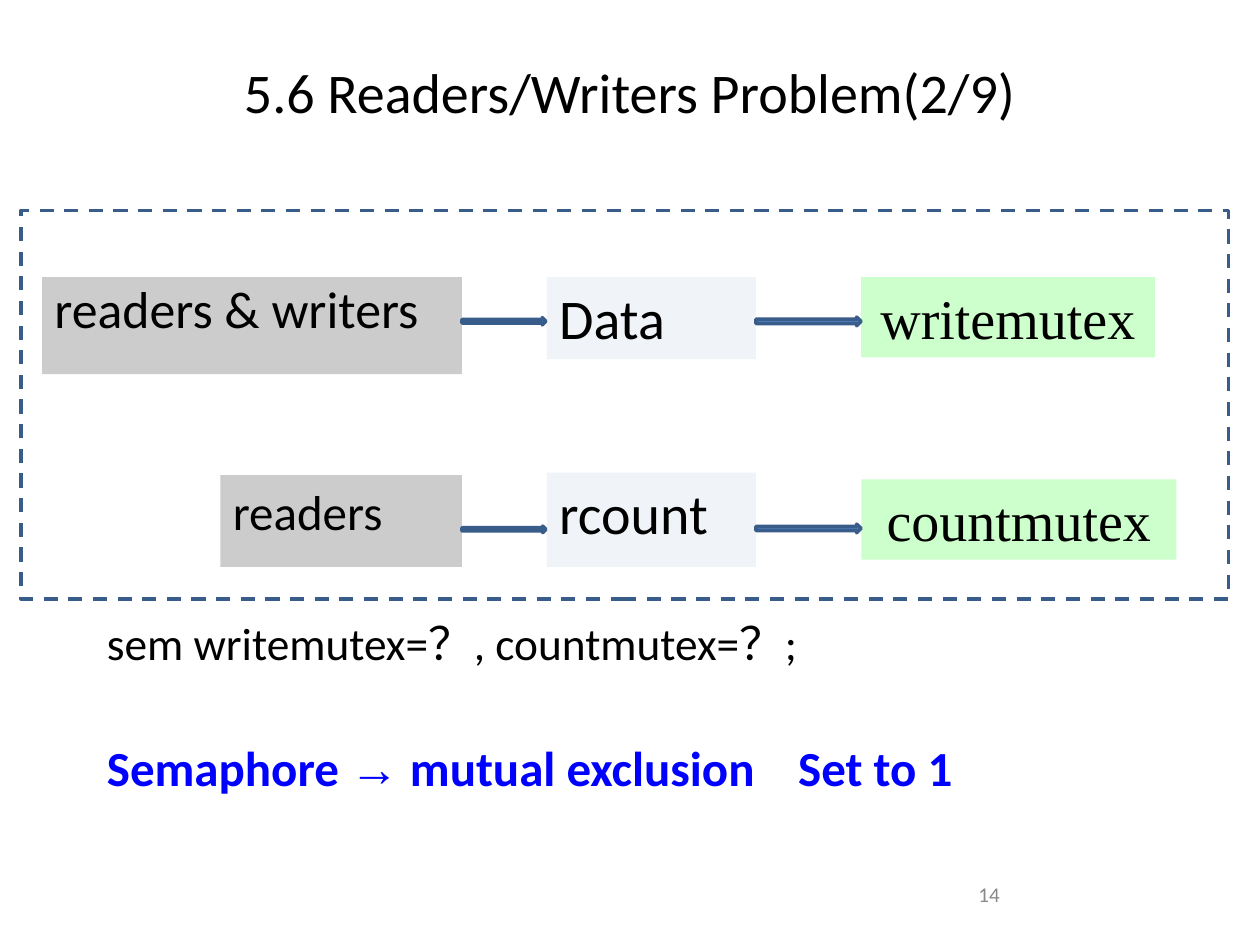
import pptx
import pptx.dml.color
import pptx.enum.dml
import pptx.enum.shapes
import pptx.enum.text
import pptx.oxml
import pptx.oxml.ns
import pptx.util

Pt = pptx.util.Pt
RGBColor = pptx.dml.color.RGBColor
SHAPE = pptx.enum.shapes.MSO_SHAPE
ALIGN = pptx.enum.text.PP_ALIGN
ANCHOR = pptx.enum.text.MSO_ANCHOR

BLACK = RGBColor(0x00, 0x00, 0x00)
WHITE = RGBColor(0xFF, 0xFF, 0xFF)
GREY = RGBColor(0xCC, 0xCC, 0xCC)
PALE_BLUE = RGBColor(0xF0, 0xF3, 0xF8)
GREEN = RGBColor(0xCC, 0xFF, 0xCC)
BLUE = RGBColor(0x00, 0x00, 0xFF)
ARROW_FILL = RGBColor(0x4F, 0x81, 0xBD)
LINE_BLUE = RGBColor(0x38, 0x5D, 0x8A)
NUMBER_GREY = RGBColor(0x89, 0x89, 0x89)

deck = pptx.Presentation()
deck.slide_width, deck.slide_height = Pt(720), Pt(540)
page = deck.slides.add_slide(deck.slide_layouts[6])


def add_shape(kind, place, fill=None, line=None):
    shape = page.shapes.add_shape(kind, *[Pt(length) for length in place])
    shape.shadow.inherit = False
    if fill is None:
        shape.fill.background()
    else:
        shape.fill.solid()
        shape.fill.fore_color.rgb = fill
    if line is None:
        shape.line.fill.background()
    else:
        shape.line.color.rgb = line
        shape.line.width = Pt(2)
    return shape


def write(box, text, size, font="Calibri", color=BLACK, align=ALIGN.LEFT,
          anchor=ANCHOR.TOP, spacing=None):
    box.text_frame.word_wrap = True
    box.text_frame.vertical_anchor = anchor
    para = box.text_frame.paragraphs[0]
    para.alignment = align
    para.line_spacing = spacing
    para.font.size = Pt(size)
    para.font.name = font
    para.font.color.rgb = color
    if text:
        para.add_run().text = text
    return para


# Title
title = page.shapes.add_textbox(Pt(0), Pt(21.6), Pt(720), Pt(61.2))
write(title, "5.6 Readers/Writers Problem(2/9)", 32,
      align=ALIGN.CENTER, anchor=ANCHOR.MIDDLE)

# Boxes: who accesses what, and the semaphore that guards it
SERIF = "Times New Roman"
boxes = [
    ("readers & writers", (24, 158.4, 240, 55.5), GREY, 29.6, "Calibri", ALIGN.LEFT, 0.9),
    ("Data", (312.5, 158.4, 119.5, 46.8), PALE_BLUE, 32, "Calibri", ALIGN.LEFT, None),
    ("writemutex", (492, 158.4, 168, 45.8), GREEN, 32, SERIF, ALIGN.CENTER, None),
    ("readers", (126, 271.5, 138, 52.5), GREY, 28, "Calibri", ALIGN.LEFT, None),
    ("rcount", (312.5, 270, 119.5, 54), PALE_BLUE, 32, "Calibri", ALIGN.LEFT, None),
    ("countmutex", (492.3, 274, 180, 45.8), GREEN, 32, SERIF, ALIGN.CENTER, None),
]
for text, place, fill, size, font, align, spacing in boxes:
    box = add_shape(SHAPE.RECTANGLE, place, fill)
    write(box, text, size, font, align=align, spacing=spacing)

# Arrows between the boxes
for place in [(264, 181.5, 48, 4.2), (264, 300.6, 48, 3.8),
              (432, 181.2, 60, 5), (432, 299.5, 60, 5)]:
    add_shape(SHAPE.RIGHT_ARROW, place, ARROW_FILL, LINE_BLUE)

# Semaphore declaration
declaration = add_shape(SHAPE.RECTANGLE, (54, 351.4, 468, 42.5), WHITE)
write(declaration, "sem writemutex=？, countmutex=？;", 25.9, spacing=0.9)

# Conclusion, with a tab stop before its last part
conclusion = add_shape(SHAPE.RECTANGLE, (54, 417.6, 637.2, 42.5), WHITE)
tab_list = pptx.oxml.parse_xml(
    f'<a:tabLst {pptx.oxml.ns.nsdecls("a")}>'
    f'<a:tab pos="{Pt(395)}" algn="l"/></a:tabLst>')
conclusion.text_frame.paragraphs[0]._p.get_or_add_pPr().append(tab_list)
para = write(conclusion, "", 28, color=BLUE)
para.font.bold = True
for text, font in [("Semaphore ", "Calibri"), ("→", "Arial"),
                   (" mutual exclusion\tSet to 1", "Calibri")]:
    span = para.add_run()
    span.text = text
    span.font.name = font

# Dashed frame around the diagram
frame = add_shape(SHAPE.RECTANGLE, (12, 120.2, 690, 222), line=LINE_BLUE)
frame.line.dash_style = pptx.enum.dml.MSO_LINE.DASH

# Slide number
number = page.shapes.add_textbox(Pt(552), Pt(500.4), Pt(168), Pt(28.8))
write(number, "14", 12, color=NUMBER_GREY)

deck.save("out.pptx")
